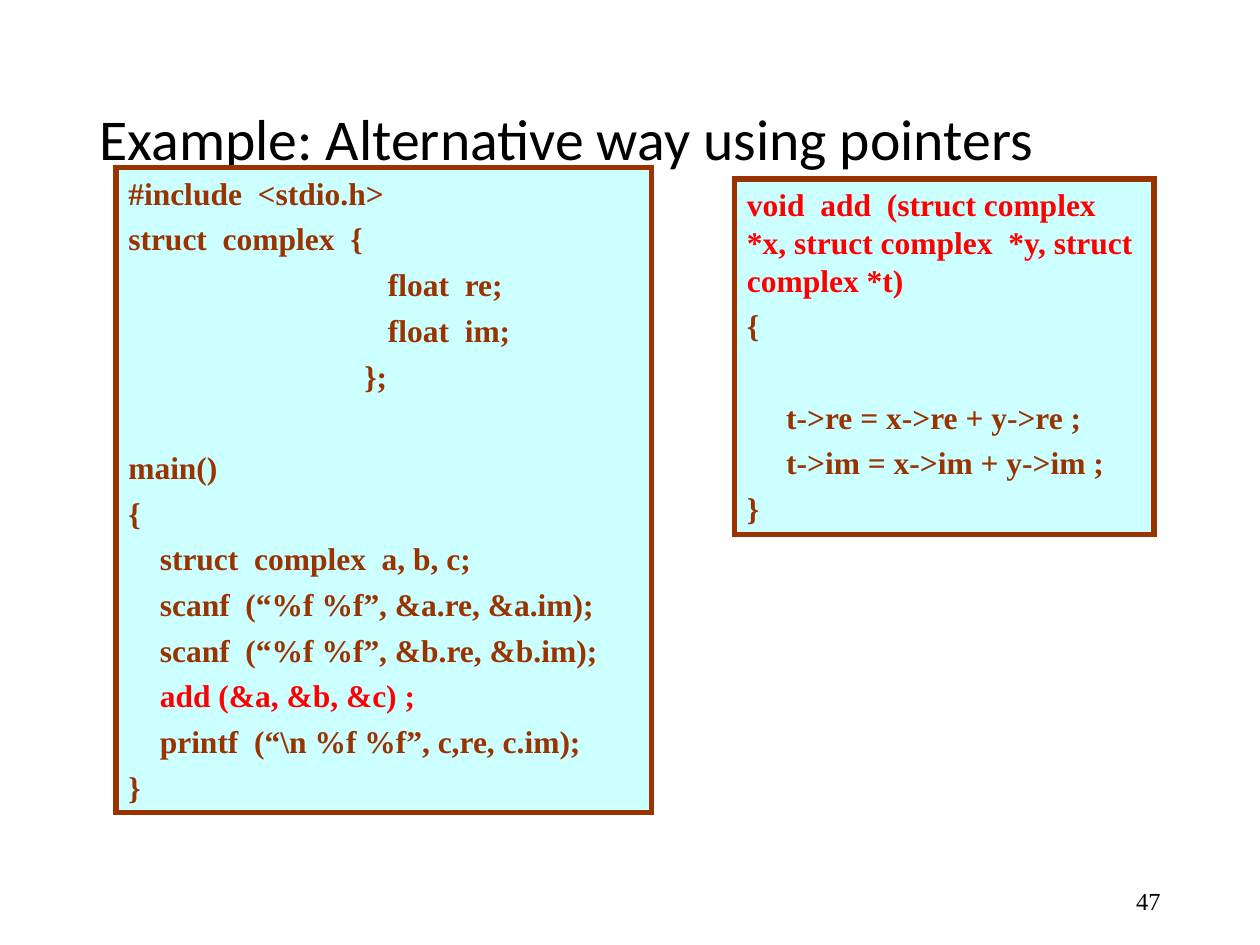
from lxml import etree
from pptx import Presentation
from pptx.dml.color import RGBColor
from pptx.enum import shapes, text
from pptx.oxml.ns import qn
from pptx.util import Inches, Pt

BLACK = RGBColor(0x00, 0x00, 0x00)
BROWN = RGBColor(0x99, 0x33, 0x00)
RED = RGBColor(0xFF, 0x00, 0x00)
PALE_CYAN = RGBColor(0xCC, 0xFF, 0xFF)

PARAGRAPH_GAP = 4.5
CODE_PITCH = 26.1  # one 18 pt code line plus the gap above it

MAIN_CODE = """#include  <stdio.h>
struct  complex  {
                                 float  re;
                                 float  im;
                              };

main()
{
    struct  complex  a, b, c;
    scanf  (“%f %f”, &a.re, &a.im);
    scanf  (“%f %f”, &b.re, &b.im);
    add (&a, &b, &c) ;
    printf  (“\\n %f %f”, c,re, c.im);
}"""

ADD_CODE = """void  add  (struct complex  *x, struct complex  *y, struct complex *t)
{

     t->re = x->re + y->re ;
     t->im = x->im + y->im ;
}"""


def style(para, font_name, size, color, bold=False):
    for span in para.runs:
        span.font.name = font_name
        span.font.size = Pt(size)
        span.font.color.rgb = color
        span.font.bold = bold


def add_label(page, box, wording, font_name, size, align):
    label = page.shapes.add_textbox(*box)
    frame = label.text_frame
    frame.word_wrap = True
    frame.vertical_anchor = text.MSO_ANCHOR.MIDDLE
    frame.text = wording
    para = frame.paragraphs[0]
    para.alignment = align
    style(para, font_name, size, BLACK)
    return para


def add_code_panel(page, box, code, highlight):
    """Draw a framed listing; lines holding the highlight are red."""
    panel = page.shapes.add_shape(shapes.MSO_SHAPE.RECTANGLE, *box)
    panel.shadow.inherit = False
    panel.fill.solid()
    panel.fill.fore_color.rgb = PALE_CYAN
    panel.line.color.rgb = BROWN
    panel.line.width = Pt(3)
    outline = panel.element.spPr.find(qn("a:ln"))
    etree.SubElement(outline, qn("a:miter"), lim="800000")
    frame = panel.text_frame
    frame.word_wrap = True
    frame.vertical_anchor = text.MSO_ANCHOR.TOP

    para, gap = frame.paragraphs[0], 0
    for number, line in enumerate(code.splitlines()):
        if not line:
            gap += CODE_PITCH
            continue
        if number:
            para = frame.add_paragraph()
        para.text = line
        para.alignment = text.PP_ALIGN.LEFT
        para.space_before = Pt(gap)
        color = RED if highlight in line else BROWN
        style(para, "Times New Roman", 18, color, bold=True)
        gap = PARAGRAPH_GAP


def main():
    deck = Presentation()
    deck.slide_width, deck.slide_height = Inches(10), Inches(7.5)
    page = deck.slides.add_slide(deck.slide_layouts[6])

    title = add_label(
        page, (Inches(0.69), Inches(0.4), Inches(8.63), Inches(1.45)),
        "Example: Alternative way using pointers", "Calibri", 33,
        text.PP_ALIGN.LEFT)
    title.line_spacing = 0.9
    add_label(
        page, (Inches(7.06), Inches(6.95), Inches(2.25), Inches(0.4)),
        "47", "Times New Roman", 14, text.PP_ALIGN.RIGHT)
    add_code_panel(
        page, (Inches(0.92), Inches(1.33), Inches(4.25), Inches(5.12)),
        MAIN_CODE, "add (")
    add_code_panel(
        page, (Inches(5.83), Inches(1.42), Inches(3.33), Inches(2.82)),
        ADD_CODE, "void  add")

    deck.save("out.pptx")


if __name__ == "__main__":
    main()
